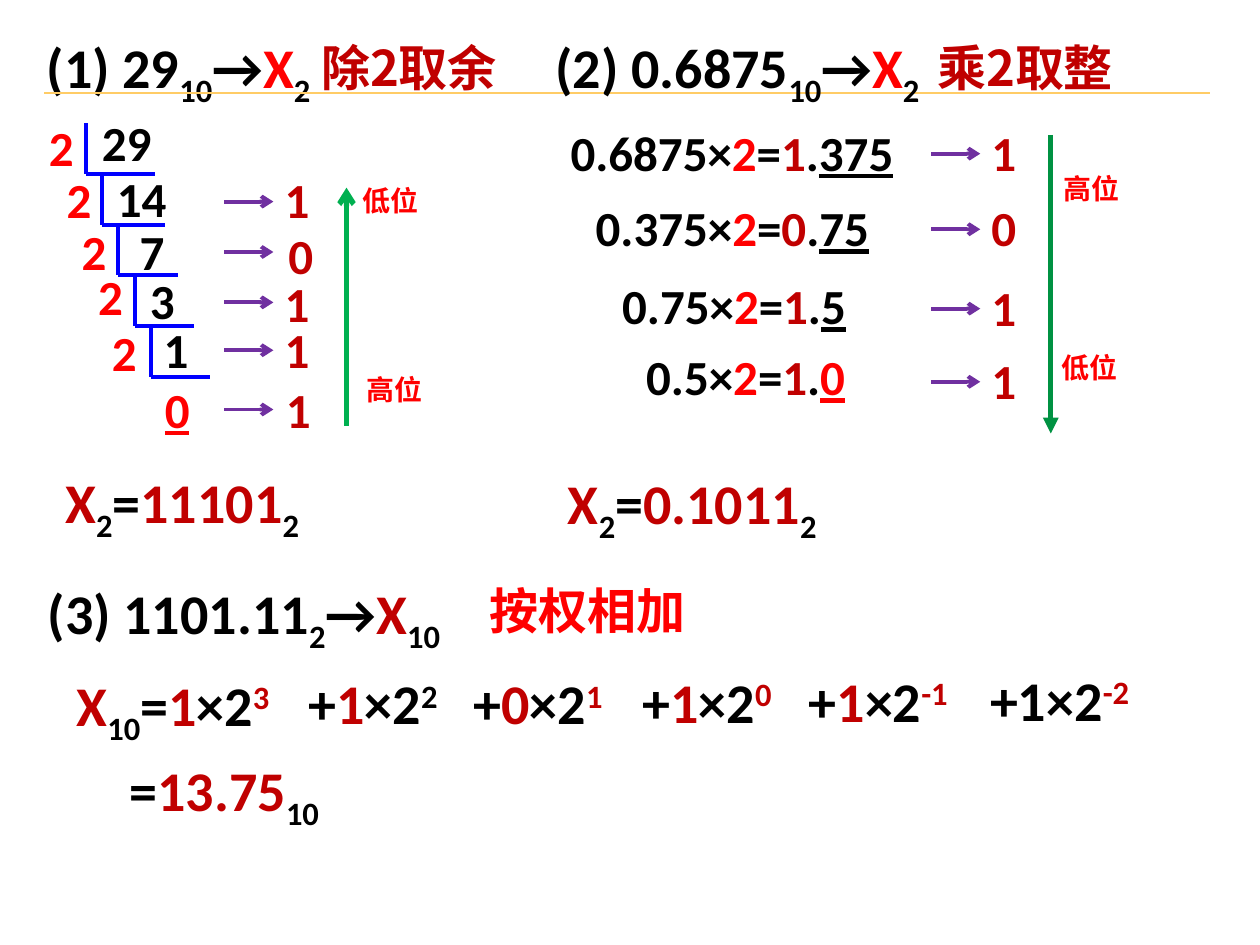
from pptx import Presentation
from pptx.dml.color import RGBColor
from pptx.enum.shapes import MSO_CONNECTOR
from pptx.enum.text import MSO_ANCHOR, MSO_AUTO_SIZE, PP_ALIGN
from pptx.oxml.ns import qn
from pptx.util import Inches, Pt
from lxml.etree import SubElement

BLACK = RGBColor(0x00, 0x00, 0x00)
RED = RGBColor(0xFF, 0x00, 0x00)
CRIMSON = RGBColor(0xC0, 0x00, 0x00)
BLUE = RGBColor(0x00, 0x00, 0xFF)
PURPLE = RGBColor(0x70, 0x30, 0xA0)
GREEN = RGBColor(0x00, 0xB0, 0x50)
DARK_GREEN = RGBColor(0x00, 0x92, 0x42)
GOLD = RGBColor(0xFF, 0xCC, 0x66)

LATIN, CJK = "Calibri", "Noto Sans CJK SC"
LARGE, MEDIUM, SMALL = 32, 28, 16
HEIGHTS = {LARGE: 0.71, MEDIUM: 0.57, SMALL: 0.37}
DIGIT_W = 0.39


def run(text, color=BLACK, baseline=0, underline=False):
    return text, color, baseline, underline


def sub(text):
    return run(text, baseline=-25)


def sup(text, color=CRIMSON):
    return run(text, color, 30)


class Board:
    """Holds the slide and the shared text and line style."""

    def __init__(self, prs):
        self.s = prs.slides.add_slide(prs.slide_layouts[5])

    def text(self, x, y, w, runs, size=MEDIUM, font=LATIN, box=None):
        area = [Inches(v) for v in (x, y, w, HEIGHTS[size])]
        if box is None:
            box = self.s.shapes.add_textbox(*area)
        else:
            box.left, box.top, box.width, box.height = area
        tf = box.text_frame
        tf.word_wrap = True
        tf.margin_right = 0  # room to keep each formula on one line
        tf.auto_size = MSO_AUTO_SIZE.SHAPE_TO_FIT_TEXT
        tf.vertical_anchor = MSO_ANCHOR.TOP
        p = tf.paragraphs[0]
        p.alignment = PP_ALIGN.LEFT
        for text, color, baseline, underline in runs:
            r = p.add_run()
            r.text = text
            r.font.size, r.font.bold, r.font.name = Pt(size), True, font
            r.font.color.rgb = color
            if underline:
                r.font.underline = True
            rpr = r._r.get_or_add_rPr()
            if baseline:
                rpr.set("baseline", str(baseline * 1000))
            SubElement(rpr, qn("a:ea")).set("typeface", CJK)

    def title(self, x, y, w, runs):
        self.text(x, y, w, runs, LARGE, box=self.s.shapes.title)

    def digit(self, x, y, text, color, underline=False):
        self.text(x, y, DIGIT_W, [run(text, color, underline=underline)])

    def line(self, x1, y1, x2, y2, color, width=2.25, arrow=None):
        c = self.s.shapes.add_connector(
            MSO_CONNECTOR.STRAIGHT, *[Inches(v) for v in (x1, y1, x2, y2)])
        c.line.color.rgb, c.line.width = color, Pt(width)
        if arrow:
            SubElement(c.line._get_or_add_ln(), qn("a:tailEnd")).set("type", arrow)
        SubElement(c._element.spPr, qn("a:effectLst"))

    def result_arrow(self, x, y):
        self.line(x, y, x + 0.39, y, PURPLE, arrow="arrow")


def draw_division(b):
    b.title(0.27, 0.21, 2.29,
            [run("(1) 29"), sub("10"), run("→"), run("X", RED), sub("2")])
    b.text(2.45, 0.25, 1.78, [run("除2取余", CRIMSON)], font=CJK)

    # quotient, its x, y and width, divisor x and y, length of the bar
    steps = [("29", 0.71, 0.84, 0.59, 0.29, 0.88, 0.55),
             ("14", 0.83, 1.29, 0.59, 0.43, 1.30, 0.50),
             ("7", 1.01, 1.71, DIGIT_W, 0.55, 1.71, 0.47),
             ("3", 1.09, 2.10, DIGIT_W, 0.68, 2.07, 0.47),
             ("1", 1.20, 2.49, DIGIT_W, 0.79, 2.51, 0.47)]
    for i, (quotient, x, y, w, div_x, div_y, length) in enumerate(steps):
        left, bottom = 0.68 + 0.13 * i, 1.38 + 1.61 * i / 4
        b.line(left, bottom - 0.4, left, bottom, BLUE)
        b.line(left, bottom, left + length, bottom, BLUE)
        b.text(x, y, w, [run(quotient)])
        b.digit(div_x, div_y, "2", RED)
    b.digit(1.21, 2.96, "0", RED, underline=True)

    remainders = [("1", 1.60, 2.16, 1.30), ("0", 2.00, 2.19, 1.74),
                  ("1", 2.40, 2.16, 2.12), ("1", 2.78, 2.16, 2.49),
                  ("1", 3.25, 2.17, 2.96)]
    for bit, arrow_y, x, y in remainders:
        b.result_arrow(1.78, arrow_y)
        b.digit(x, y, bit, CRIMSON)

    b.line(2.75, 3.38, 2.75, 1.49, GREEN, 3, "arrow")
    b.text(2.81, 2.91, 0.64, [run("高位", RED)], SMALL)
    b.text(2.78, 1.41, 0.64, [run("低位", RED)], SMALL)


def draw_multiplication(b):
    b.text(4.31, 0.21, 3.09,
           [run("(2) 0.6875"), sub("10"), run("→"), run("X", RED), sub("2")], LARGE)
    b.text(7.34, 0.25, 1.78, [run("乘2取整", CRIMSON)], font=CJK)

    # factor, integer part, fraction, colour of the fraction, x, y, width, bit y
    products = [("0.6875", "1", "375", BLACK, 4.43, 0.92, 2.76, 0.92),
                ("0.375", "0", "75", BLACK, 4.63, 1.52, 2.37, 1.52),
                ("0.75", "1", "5", BLACK, 4.84, 2.14, 1.97, 2.15),
                ("0.5", "1", "0", RED, 5.03, 2.70, 1.78, 2.73)]
    for factor, bit, fraction, color, x, y, w, bit_y in products:
        b.text(x, y, w, [run(factor + "×"), run("2", RED), run("="),
                         run(bit, CRIMSON), run("."),
                         run(fraction, color, underline=True)])
        b.result_arrow(7.39, bit_y + 0.3)
        b.digit(7.77, bit_y, bit, CRIMSON)

    b.line(8.34, 1.07, 8.34, 3.44, DARK_GREEN, 3, "triangle")
    b.text(8.33, 2.73, 0.64, [run("低位", RED)], SMALL, CJK)
    b.text(8.34, 1.31, 0.64, [run("高位", RED)], SMALL, CJK)


def draw_answers(b):
    for x, y, w, value in [(0.42, 3.66, 2.05, "11101"), (4.41, 3.67, 2.17, "0.1011")]:
        b.text(x, y, w, [run("X", CRIMSON), sub("2"), run("="),
                         run(value, CRIMSON), sub("2")], LARGE)


def draw_weighted_sum(b):
    b.text(0.28, 4.54, 3.31, [run("(3) 1101.11"), sub("2"), run("→"),
                              run("X", CRIMSON), sub("10")], LARGE)
    b.text(3.79, 4.56, 1.75, [run("按权相加", RED)], font=CJK)
    b.text(0.51, 5.27, 1.73, [run("X", CRIMSON), sub("10"), run("="),
                              run("1", CRIMSON), run("×2"), sup("3")], LARGE)

    terms = [("1", CRIMSON, "2", BLACK, 2.35, 5.26, 1.22),
             ("0", CRIMSON, "1", CRIMSON, 3.66, 5.26, 1.22),
             ("1", CRIMSON, "0", CRIMSON, 5.00, 5.25, 1.22),
             ("1", CRIMSON, "-1", CRIMSON, 6.32, 5.24, 1.30),
             ("1", BLACK, "-2", CRIMSON, 7.76, 5.23, 1.30)]
    for bit, color, power, power_color, x, y, w in terms:
        b.text(x, y, w, [run("+"), run(bit, color), run("×2"),
                         sup(power, power_color)], LARGE)
    b.text(0.93, 5.95, 1.70, [run("="), run("13.75", CRIMSON), sub("10")], LARGE)


def main():
    prs = Presentation()
    prs.slide_width, prs.slide_height = Inches(10), Inches(7.5)
    b = Board(prs)
    b.line(0.35, 0.74, 9.6, 0.74, GOLD, 1)
    draw_division(b)
    draw_multiplication(b)
    draw_answers(b)
    draw_weighted_sum(b)
    prs.save("out.pptx")


if __name__ == "__main__":
    main()
